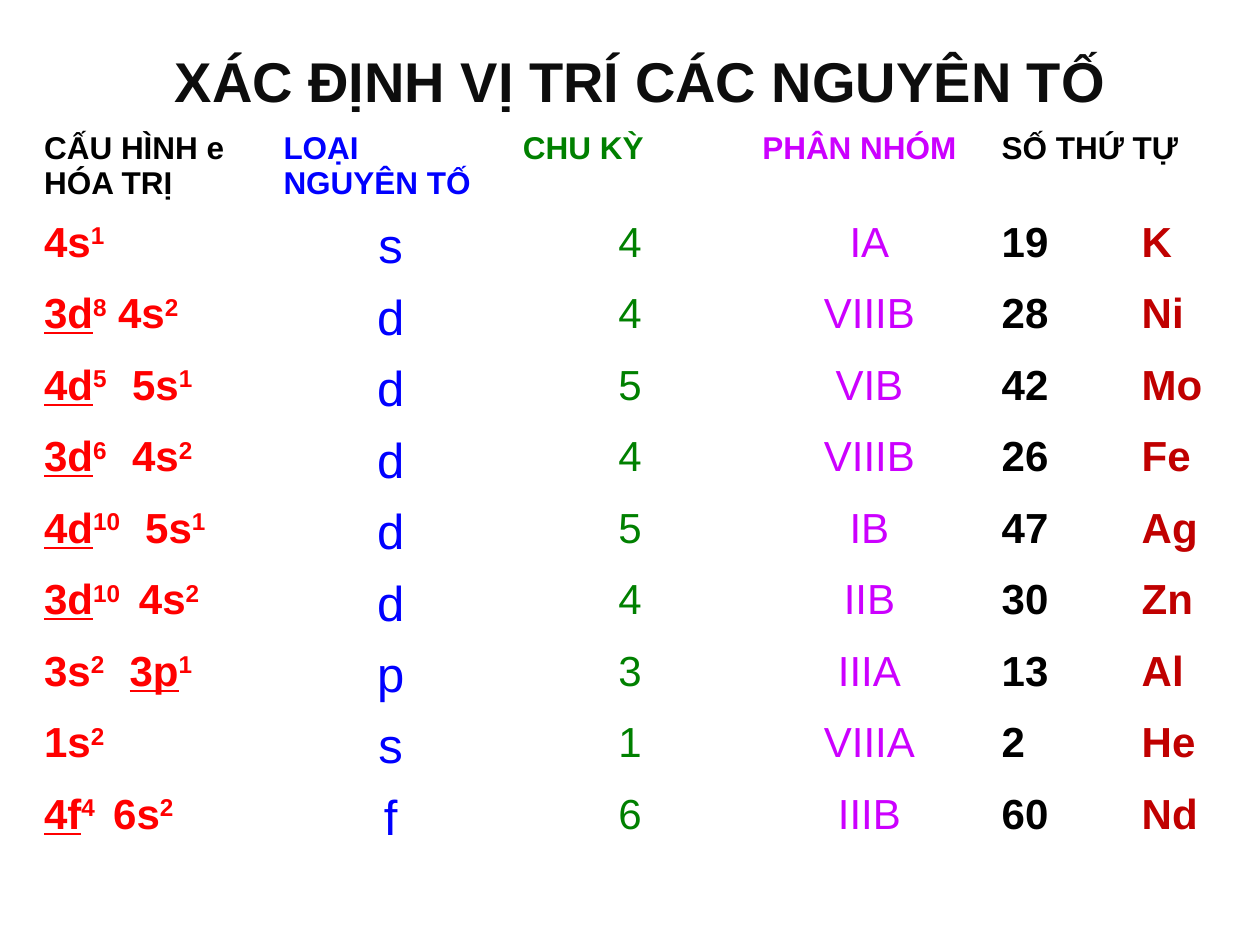
from lxml.etree import SubElement
from pptx import Presentation
from pptx.dml.color import RGBColor
from pptx.enum.text import MSO_ANCHOR as Anchor, PP_ALIGN as Align
from pptx.oxml.ns import qn
from pptx.util import Pt

BLACK, RED, BLUE, GREEN, VIOLET, DARK_RED = (
    "000000", "FF0000", "0000FF", "008000", "CC00FF", "C00000")
HEADERS = [("CẤU HÌNH e HÓA TRỊ", BLACK), ("LOẠI NGUYÊN TỐ", BLUE),
           ("CHU KỲ", GREEN), ("PHÂN NHÓM", VIOLET), ("SỐ THỨ TỰ", BLACK)]
# Valence configuration, tab stop of its second orbital, block, period, group, number, symbol
ELEMENTS = [
    ("4s1", None, "s", "4", "IA", "19", "K"),
    ("3d8 4s2", 42.3, "d", "4", "VIIIB", "28", "Ni"),
    ("4d5 5s1", 50.3, "d", "5", "VIB", "42", "Mo"),
    ("3d6 4s2", 50.3, "d", "4", "VIIIB", "26", "Fe"),
    ("4d10 5s1", 57.8, "d", "5", "IB", "47", "Ag"),
    ("3d10 4s2", 54.2, "d", "4", "IIB", "30", "Zn"),
    ("3s2 3p1", 48.8, "p", "3", "IIIA", "13", "Al"),
    ("1s2", None, "s", "1", "VIIIA", "2", "He"),
    ("4f4 6s2", 39.5, "f", "6", "IIIB", "60", "Nd"),
]
SYMBOL_STOP = 80
COLUMN_WIDTH = 136.8
ROW_HEIGHTS = [50.4] + [40.85] * 8 + [92.9]


def rgb(value):
    return RGBColor.from_string(value)


def add_span(para, text, color, size=24, raised=False, **formats):
    span = para.add_run()
    span.text = text
    formats = {"name": "Arial", "size": Pt(size), "bold": True, **formats}
    for name, value in formats.items():
        setattr(span.font, name, value)
    span.font.color.rgb = rgb(color)
    if raised:
        span.font._element.set("baseline", "30000")


def add_tab_stop(para, position):
    stops = SubElement(para._p.get_or_add_pPr(), qn("a:tabLst"))
    SubElement(stops, qn("a:tab"), pos=str(int(Pt(position))), algn="l")


def add_title(page, text):
    box = page.shapes.add_textbox(Pt(0), Pt(0.7), Pt(732), Pt(90))
    frame = box.text_frame
    frame.word_wrap = True
    frame.vertical_anchor = Anchor.MIDDLE
    para = frame.paragraphs[0]
    para.alignment = Align.CENTER
    add_span(para, text, "0D0D0D", 32)


def style_cell(cell, row):
    """Give the cell white borders, heavier under the header, and no fill."""
    heavy = {0: "lnB", 1: "lnT"}.get(row)
    properties = cell._tc.get_or_add_tcPr()
    for side in ("lnL", "lnR", "lnT", "lnB"):
        width = Pt(1.47 if side == heavy else 0.45)
        line = SubElement(properties, qn(f"a:{side}"), w=str(int(width)))
        fill = SubElement(line, qn("a:solidFill"))
        SubElement(fill, qn("a:srgbClr"), val="FFFFFF")
    cell.fill.background()


def add_configuration(para, configuration, stop):
    """Write orbitals with raised counts; p, d and f shells are underlined."""
    if stop:
        add_tab_stop(para, stop)
    for index, orbital in enumerate(configuration.split()):
        if index:
            add_span(para, "\t", RED)
        shell, count = orbital[:2], orbital[2:]
        add_span(para, shell, RED, underline=shell[1] in "pdf")
        add_span(para, count, RED, raised=True)


def fill_element(paras, element):
    configuration, stop, block, period, group, number, symbol = element
    add_configuration(paras[0], configuration, stop)
    centred = [(block, BLUE, 28), (period, GREEN, 24), (group, VIOLET, 24)]
    for para, (text, color, size) in zip(paras[1:4], centred):
        para.alignment = Align.CENTER
        add_span(para, text, color, size, bold=False)
    add_tab_stop(paras[4], SYMBOL_STOP)
    add_span(paras[4], number + "\t", BLACK)
    add_span(paras[4], symbol, DARK_RED)


def add_element_table(page):
    columns = len(HEADERS)
    table = page.shapes.add_table(
        len(ROW_HEIGHTS), columns, Pt(18), Pt(71.3),
        Pt(COLUMN_WIDTH * columns), Pt(sum(ROW_HEIGHTS))).table
    table.first_row = table.horz_banding = False
    for column in table.columns:
        column.width = Pt(COLUMN_WIDTH)
    for index, (row, height) in enumerate(zip(table.rows, ROW_HEIGHTS)):
        row.height = Pt(height)
        for cell in row.cells:
            style_cell(cell, index)
        paras = [cell.text_frame.paragraphs[0] for cell in row.cells]
        if index:
            fill_element(paras, ELEMENTS[index - 1])
        else:
            for para, (text, color) in zip(paras, HEADERS):
                add_span(para, text, color, 18)


def main():
    deck = Presentation()
    deck.slide_width, deck.slide_height = Pt(720), Pt(540)
    page = deck.slides.add_slide(deck.slide_layouts[6])
    add_title(page, "XÁC ĐỊNH VỊ TRÍ CÁC NGUYÊN TỐ")
    add_element_table(page)
    deck.save("out.pptx")


if __name__ == "__main__":
    main()
